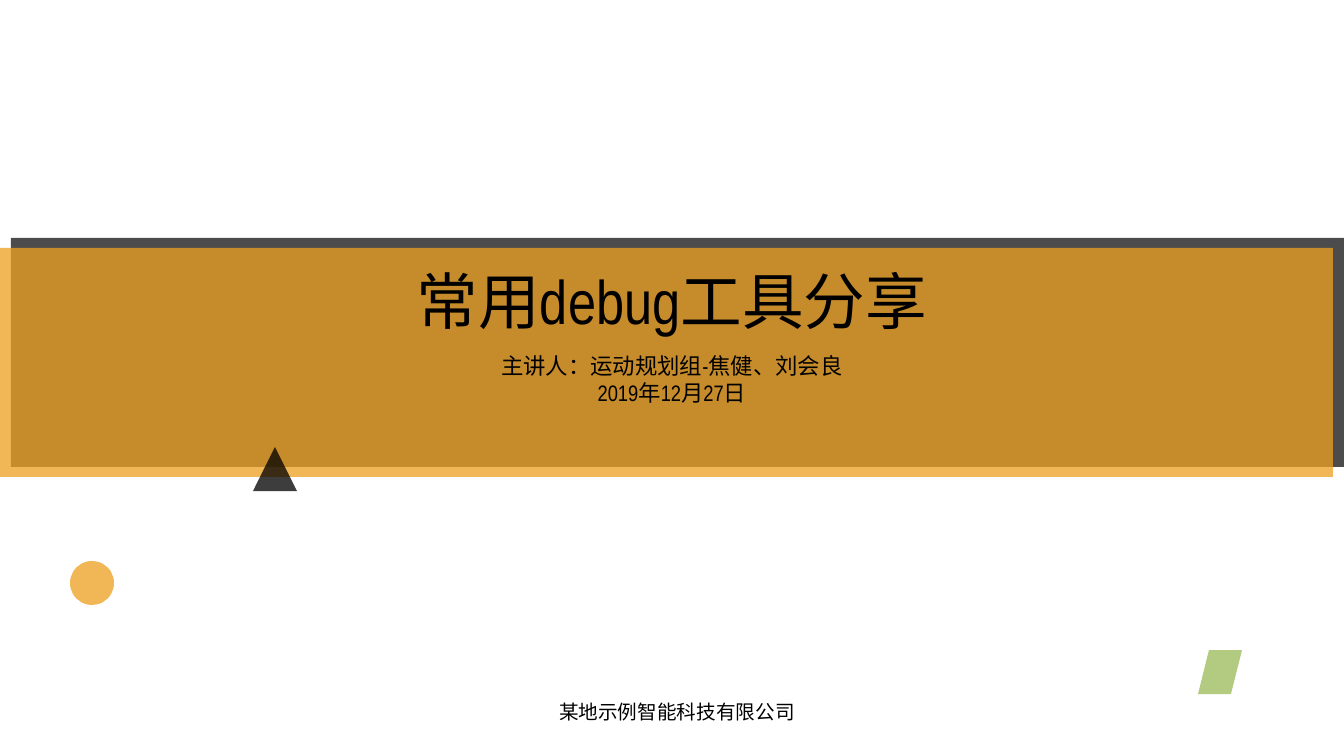
from pptx import Presentation
from pptx.dml.color import RGBColor
from pptx.enum.shapes import MSO_SHAPE
from pptx.enum.text import MSO_ANCHOR, PP_ALIGN
from pptx.oxml.ns import qn
from pptx.util import Emu, Pt
from lxml.etree import SubElement

SLIDE_W, SLIDE_H = 1344, 756
PX = 12192000 / SLIDE_W
BLACK = RGBColor(0x00, 0x00, 0x00)
AMBER = RGBColor(0xED, 0xA0, 0x21)
GREEN = RGBColor(0x9B, 0xBB, 0x59)

deck = Presentation()
deck.slide_width, deck.slide_height = Emu(round(SLIDE_W * PX)), Emu(round(SLIDE_H * PX))
cover = deck.slides.add_slide(deck.slide_layouts[6])


def add_block(preset, box, color, opacity=76):
    """Add a borderless shape whose fill has the given opacity in percent."""
    block = cover.shapes.add_shape(preset, *[Emu(round(v * PX)) for v in box])
    block.shadow.inherit = False
    block.line.fill.background()
    block.fill.solid()
    block.fill.fore_color.rgb = color
    rgb = block._element.spPr.find(qn("a:solidFill"))[0]
    SubElement(rgb, qn("a:alpha"), val=str(opacity * 1000))


def add_text(text, box, size, font="Arial Narrow", color=BLACK):
    frame = cover.shapes.add_textbox(*[Emu(round(v * PX)) for v in box]).text_frame
    frame.word_wrap = True
    frame.vertical_anchor = MSO_ANCHOR.TOP
    frame.text = text
    for paragraph in frame.paragraphs:
        paragraph.alignment = PP_ALIGN.CENTER
        paragraph.font.size = Pt(size)
        paragraph.font.name = font
        paragraph.font.color.rgb = color


BADGE = 44
BAND_W, BAND_H = 1333, 229
TEXT_X, TEXT_W, TEXT_H = 203, 938, 84

add_block(MSO_SHAPE.OVAL, (70, 561, BADGE, BADGE), AMBER)
add_text("某地示例智能科技有限公司", (275, 695, 804, 33), 14, font="Roboto")

add_block(MSO_SHAPE.RECTANGLE, (SLIDE_W - BAND_W, 238, BAND_W, BAND_H), BLACK, opacity=70)
add_block(MSO_SHAPE.RECTANGLE, (0, 248, BAND_W, BAND_H), AMBER)
add_text("常用debug工具分享", (TEXT_X, 258, TEXT_W, TEXT_H), 44)
add_text("主讲人：运动规划组-焦健、刘会良\n2019年12月27日", (TEXT_X, 347, TEXT_W, TEXT_H), 16)

add_block(MSO_SHAPE.ISOSCELES_TRIANGLE, (253, 447, BADGE, BADGE), BLACK)
add_block(MSO_SHAPE.PARALLELOGRAM, (1198, 650, BADGE, BADGE), GREEN)

deck.save("out.pptx")
